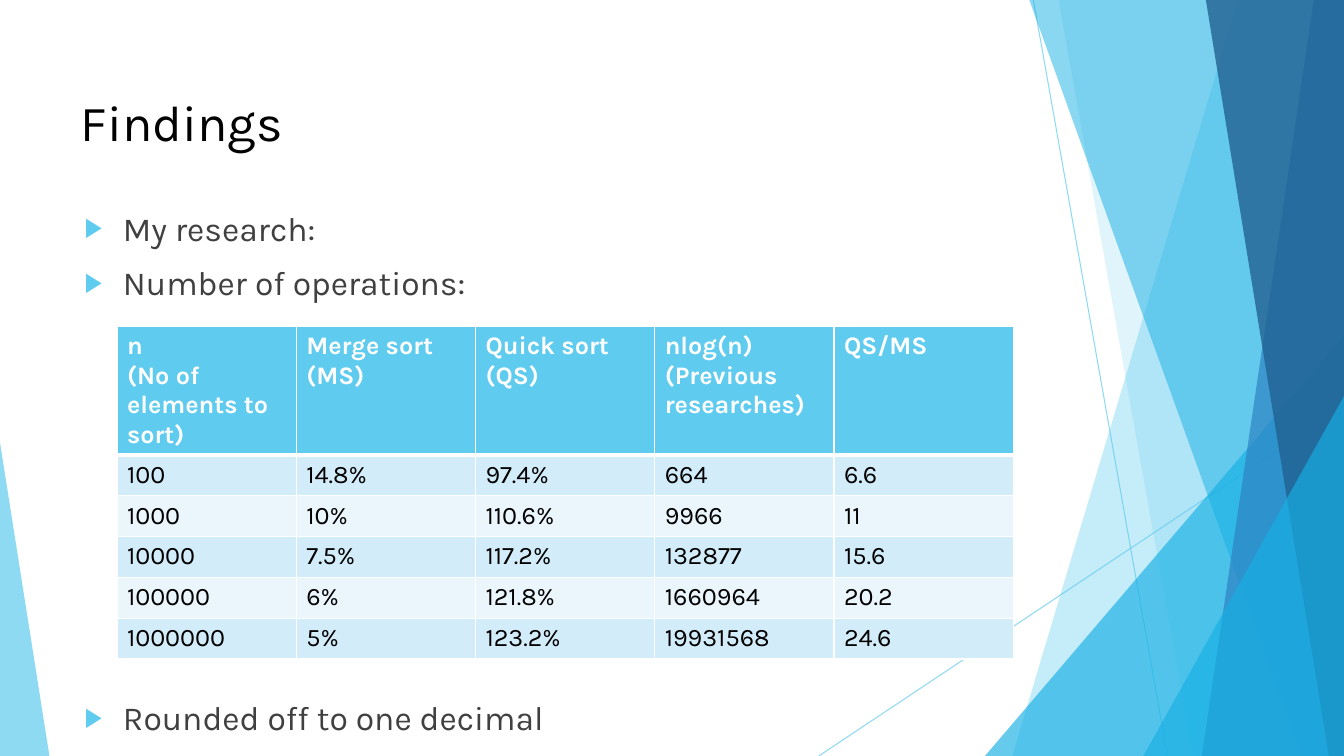
from lxml import etree
from pptx import Presentation
from pptx.dml.color import RGBColor
from pptx.enum.shapes import MSO_CONNECTOR, MSO_SHAPE
from pptx.enum.text import MSO_ANCHOR, MSO_AUTO_SIZE, PP_ALIGN
from pptx.oxml import parse_xml
from pptx.oxml.ns import nsdecls, qn
from pptx.util import Inches, Pt

STRAIGHT = MSO_CONNECTOR.STRAIGHT
TRIANGLE = MSO_SHAPE.ISOSCELES_TRIANGLE
TOP, LEFT, NO_FIT = MSO_ANCHOR.TOP, PP_ALIGN.LEFT, MSO_AUTO_SIZE.NONE
TITLE_AND_CONTENT = 1

SKY = RGBColor(0x5F, 0xCB, 0xEF)
CYAN = RGBColor(0x17, 0xB0, 0xE4)
BLUE = RGBColor(0x2E, 0x83, 0xC3)
NAVY = RGBColor(0x22, 0x62, 0x92)
BAND_DARK = RGBColor(0xD2, 0xEC, 0xF9)
BAND_LIGHT = RGBColor(0xEA, 0xF6, 0xFC)
WHITE = RGBColor(0xFF, 0xFF, 0xFF)
BLACK = RGBColor(0x00, 0x00, 0x00)
GREY = RGBColor(0x40, 0x40, 0x40)

# All positions and lengths are percentages of the slide's width or height.
FACETS = [  # top x, bottom x, colour, opacity
    (92.12, 75.32, SKY, 36),
    (78.77, 88.75, SKY, 20),
    (76.59, 96.85, CYAN, 50),
    (97.75, 89.42, BLUE, 70),
    (89.72, 98.87, NAVY, 80),
]
BULLETS = [  # text, space before in points
    ("My research:", 10),
    ("Number of operations:", 10),
    ("Rounded off to one decimal", 282),
]
FINDINGS = [
    ("n\n(No of elements to sort)", "Merge sort (MS)", "Quick sort (QS)",
     "nlog(n)\n(Previous researches)", "QS/MS"),
    ("100", "14.8%", "97.4%", "664", "6.6"),
    ("1000", "10%", "110.6%", "9966", "11"),
    ("10000", "7.5%", "117.2%", "132877", "15.6"),
    ("100000", "6%", "121.8%", "1660964", "20.2"),
    ("1000000", "5%", "123.2%", "19931568", "24.6"),
]


class SlideBuilder:
    font = "Karla"

    def __init__(self, deck):
        self.deck = deck
        self.page = deck.slides.add_slide(deck.slide_layouts[TITLE_AND_CONTENT])

    def across(self, share):
        return round(self.deck.slide_width * share / 100)

    def down(self, share):
        return round(self.deck.slide_height * share / 100)

    def frame(self, left, top, width, height):
        return self.across(left), self.down(top), self.across(width), self.down(height)

    def set_opacity(self, shape, opacity):
        for color in shape.element.spPr.xpath(".//a:srgbClr"):
            etree.SubElement(color, qn("a:alpha")).set("val", str(opacity * 1000))

    def paint(self, shape, color, opacity):
        shape.shadow.inherit = False
        shape.fill.solid()
        shape.fill.fore_color.rgb = color
        shape.line.fill.background()
        self.set_opacity(shape, opacity)

    def hairline(self, start, end):
        line = self.page.shapes.add_connector(
            STRAIGHT, self.across(start[0]), self.down(start[1]),
            self.across(end[0]), self.down(end[1]))
        line.line.color.rgb = SKY
        line.line.width = Pt(0.75)
        self.set_opacity(line, 70)
        etree.SubElement(line.element.spPr, qn("a:effectLst"))

    def facet(self, top_x, bottom_x, color, opacity):
        """Fill the area from a slanted edge to the right side of the slide."""
        outline = self.page.shapes.build_freeform(self.across(top_x), 0)
        corners = [(100, 0), (100, 100), (bottom_x, 100)]
        outline.add_line_segments([(self.across(x), self.down(y)) for x, y in corners])
        self.paint(outline.convert_to_shape(), color, opacity)

    def triangle(self, left, top, width, apex, color, opacity):
        """Stand a triangle on the bottom edge; apex is its place along the width."""
        box = self.page.shapes.add_shape(
            TRIANGLE, *self.frame(left, top, width, 100 - top))
        box.adjustments[0] = apex
        self.paint(box, color, opacity)

    def style_text(self, para, **font_format):
        for span in para.runs:
            color = font_format["color"]
            span.font.color.rgb = color
            values = {"name": self.font, "size": Pt(font_format["size"]),
                      "bold": font_format.get("bold", False)}
            for name, value in values.items():
                setattr(span.font, name, value)

    def place(self, box, *area):
        """Move a placeholder to its area, in front of the earlier shapes."""
        box.element.getparent().append(box.element)
        for name, value in zip(("left", "top", "width", "height"), self.frame(*area)):
            setattr(box, name, value)
        text_format = {"vertical_anchor": TOP, "auto_size": NO_FIT, "word_wrap": True}
        for name, value in text_format.items():
            setattr(box.text_frame, name, value)

    def title(self, text, *area):
        box = self.page.shapes.title
        self.place(box, *area)
        box.text_frame.text = text
        para = box.text_frame.paragraphs[0]
        para.alignment = LEFT
        self.style_text(para, size=36, color=BLACK)

    def bullets(self, items, *area):
        box = self.page.placeholders[1]
        self.place(box, *area)
        box.text_frame.text = "\n".join(text for text, _ in items)
        for para, (_, gap) in zip(box.text_frame.paragraphs, items):
            para.space_before = Pt(gap)
            self.style_text(para, size=24, color=GREY)
            self.add_bullet(para)

    def add_bullet(self, para):
        properties = para._p.get_or_add_pPr()
        properties.set("marL", str(Inches(0.38)))
        properties.set("indent", str(-Inches(0.38)))
        for tag in (f'buClr {nsdecls("a")}><a:srgbClr val="{SKY}"/></a:buClr',
                    f'buSzPct {nsdecls("a")} val="80000"/',
                    f'buFont {nsdecls("a")} typeface="{self.font}"/',
                    f'buChar {nsdecls("a")} char="▶"/'):
            properties.append(parse_xml(f"<a:{tag}>"))

    def table(self, rows, left, top, width, header_height, row_height):
        height = header_height + row_height * (len(rows) - 1)
        grid = self.page.shapes.add_table(
            len(rows), len(rows[0]), *self.frame(left, top, width, height)).table
        for index, values in enumerate(rows):
            header = index == 0
            grid.rows[index].height = self.down(header_height if header else row_height)
            fill = SKY if header else (BAND_LIGHT, BAND_DARK)[index % 2]
            for column, text in enumerate(values):
                cell = grid.cell(index, column)
                cell.text = text
                self.add_borders(cell, top=3 if index == 1 else 1,
                                 bottom=3 if header else 1)
                cell.fill.solid()
                cell.fill.fore_color.rgb = fill
                for para in cell.text_frame.paragraphs:
                    self.style_text(para, size=18, bold=header,
                                    color=WHITE if header else BLACK)

    def add_borders(self, cell, top, bottom):
        properties = cell._tc.get_or_add_tcPr()
        for side, width in (("L", 1), ("R", 1), ("T", top), ("B", bottom)):
            properties.append(parse_xml(
                f'<a:ln{side} {nsdecls("a")} w="{Pt(width)}"><a:solidFill>'
                f'<a:srgbClr val="{WHITE}"/></a:solidFill></a:ln{side}>'))


def main():
    deck = Presentation()
    deck.slide_width, deck.slide_height = Inches(13.33), Inches(7.5)
    slide = SlideBuilder(deck)

    slide.hairline((76.89, 0), (86.87, 100))
    slide.hairline((100, 53.73), (60.92, 100))
    for facet in FACETS[:2]:
        slide.facet(*facet)
    slide.triangle(73.29, 44.4, 26.71, 1, CYAN, 66)
    for facet in FACETS[2:]:
        slide.facet(*facet)
    slide.triangle(85.07, 52.4, 14.93, 1, CYAN, 66)
    slide.triangle(0, 58.53, 3.68, 0, SKY, 70)

    slide.title("Findings", 5.25, 11.33, 52.06, 19.2)
    slide.bullets(BULLETS, 5.55, 26.8, 73.52, 71.33)
    slide.table(FINDINGS, 8.7, 43.2, 66.69, header_height=17, row_height=5.4)
    deck.save("out.pptx")


if __name__ == "__main__":
    main()
